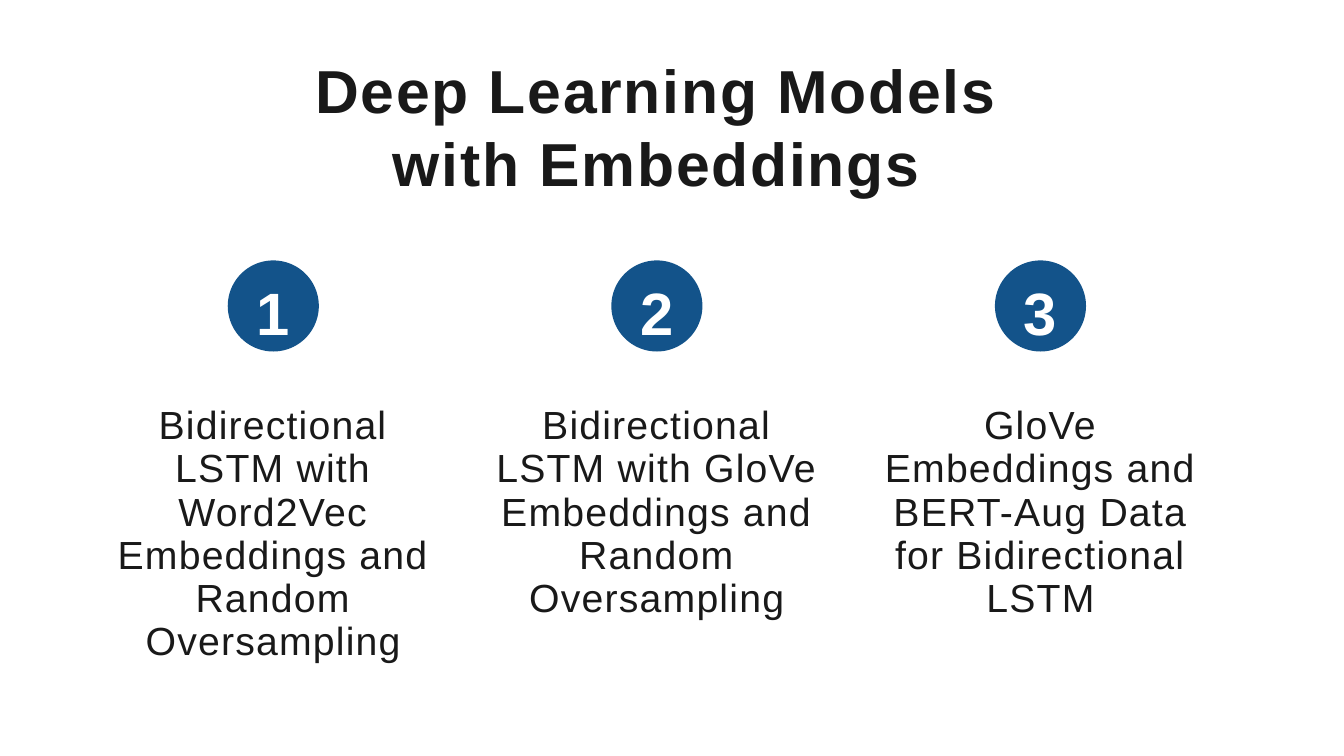
import pptx
import pptx.util
import pptx.dml.color
import pptx.enum.shapes
import pptx.enum.text

Pt = pptx.util.Pt


def tint(code):
    return pptx.dml.color.RGBColor.from_string(code)


def write(box, text, size, lead, gap, color, bold=False):
    frame = box.text_frame
    frame.word_wrap = True
    frame.auto_size = pptx.enum.text.MSO_AUTO_SIZE.NONE
    frame.vertical_anchor = pptx.enum.text.MSO_ANCHOR.TOP
    frame.margin_left = frame.margin_right = 0
    frame.margin_top = frame.margin_bottom = 0
    para = frame.paragraphs[0]
    run = para.add_run()
    run.text = text
    # Letter spacing, in hundredths of a point
    run.font._element.set("spc", str(round(gap * 100)))
    para.alignment = pptx.enum.text.PP_ALIGN.CENTER
    para.line_spacing = Pt(lead)
    para.space_before = Pt(0)
    font = para.font
    font.name = "Arial"
    font.size = Pt(size)
    font.bold = bold
    font.color.rgb = tint(color)


deck = pptx.Presentation()
deck.slide_width, deck.slide_height = Pt(1440), Pt(810)
slide = deck.slides.add_slide(deck.slide_layouts[5])
shapes = slide.shapes

ink, blue, white = "191919", "13538A", "FFFFFF"
slide.background.fill.solid()
slide.background.fill.fore_color.rgb = tint(white)

# Title
title = shapes.title
title.left, title.top = Pt(275.8), Pt(57)
title.width, title.height = Pt(855.4), Pt(157)
write(title, "Deep Learning Models with Embeddings", 65, 78, 1.9, ink, True)

# Three numbered columns
models = [
    "Bidirectional LSTM with Word2Vec Embeddings and Random Oversampling",
    "Bidirectional LSTM with GloVe Embeddings and Random Oversampling",
    "GloVe Embeddings and BERT-Aug Data for Bidirectional LSTM",
]
first, pitch, wide, disc = 112.4, 411, 360.8, 97.6

for col, model in enumerate(models):
    left = first + col * pitch
    inset = left + (wide - disc) / 2

    # Model name
    body = shapes.add_textbox(Pt(left), Pt(433.4), Pt(wide), Pt(322))
    write(body, model, 42, 46.2, 1.3, ink)

    # Round badge
    badge = shapes.add_shape(pptx.enum.shapes.MSO_SHAPE.OVAL,
                             Pt(inset), Pt(279), Pt(disc), Pt(disc))
    badge.shadow.inherit = False
    badge.fill.solid()
    badge.fill.fore_color.rgb = tint(blue)
    badge.line.fill.background()

    # Number
    label = shapes.add_textbox(Pt(inset), Pt(271.4), Pt(disc), Pt(90.7))
    write(label, str(col + 1), 64, 100.5, 1.9, white, True)

deck.save("out.pptx")
